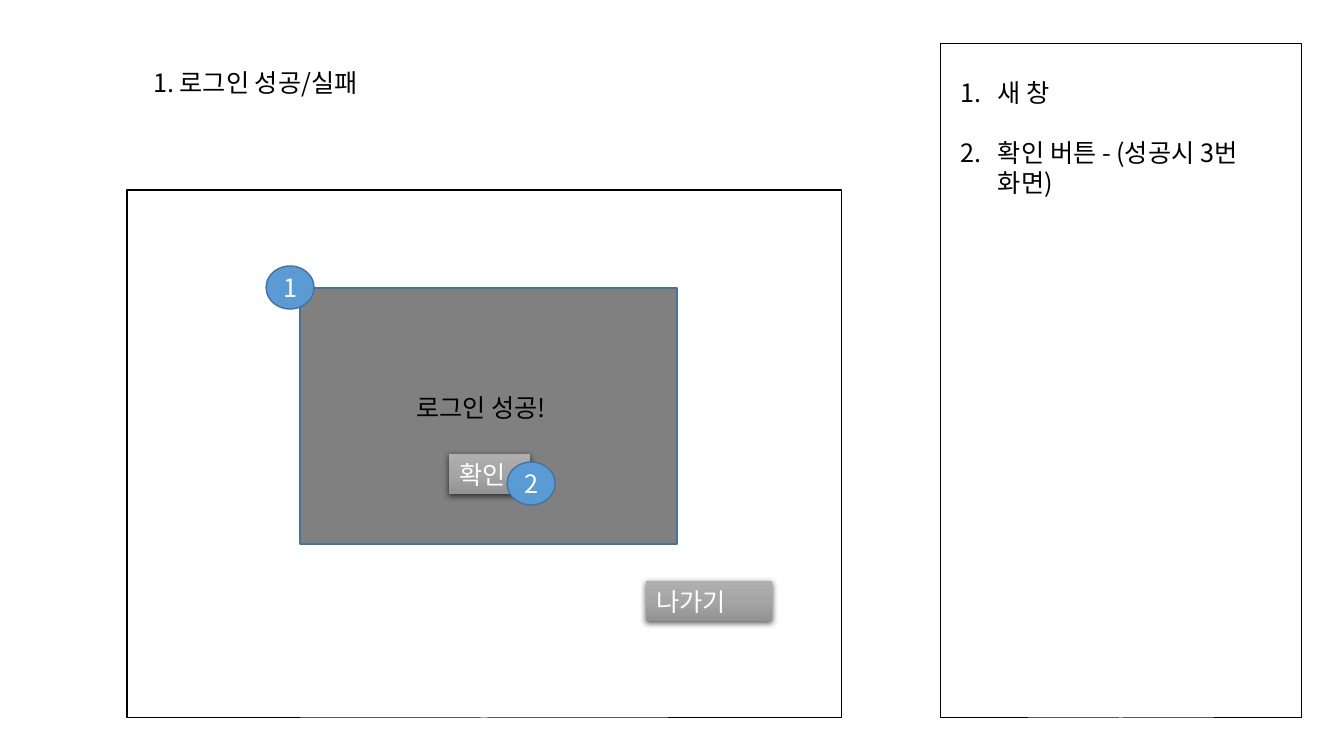
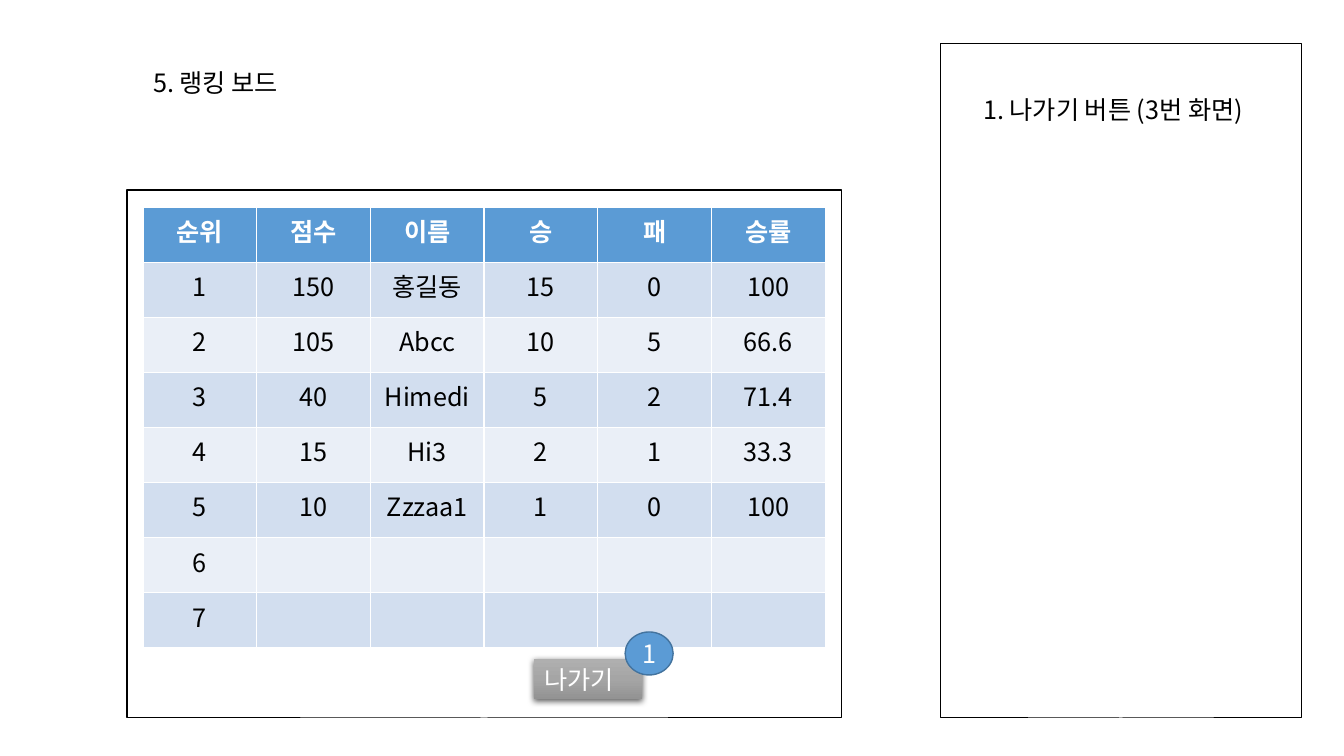
from lxml.etree import SubElement
from pptx import Presentation
from pptx.dml.color import RGBColor
from pptx.enum.shapes import MSO_SHAPE
from pptx.enum.text import MSO_ANCHOR, MSO_AUTO_SIZE, PP_ALIGN
from pptx.oxml import parse_xml
from pptx.oxml.ns import nsdecls, qn
from pptx.util import Inches, Pt

PX = 914400 / 100.8
FONT = "Noto Sans CJK KR"
LINE_HEIGHT = Pt(21.6)
BLACK = RGBColor(0x00, 0x00, 0x00)
WHITE = RGBColor(0xFF, 0xFF, 0xFF)
GRAY = RGBColor(0x80, 0x80, 0x80)
BLUE = RGBColor(0x5B, 0x9B, 0xD5)
DARK_BLUE = RGBColor(0x43, 0x73, 0x9E)
BAND_DARK = RGBColor(0xD2, 0xDE, 0xEF)
BAND_LIGHT = RGBColor(0xEA, 0xEF, 0xF7)

BUTTON_FILL = f"""<a:gradFill {nsdecls('a')} rotWithShape="1"><a:gsLst>
<a:gs pos="0"><a:srgbClr val="AFAFAF"/></a:gs>
<a:gs pos="50000"><a:srgbClr val="A5A5A5"/></a:gs>
<a:gs pos="100000"><a:srgbClr val="939393"/></a:gs>
</a:gsLst><a:lin ang="5400000" scaled="0"/></a:gradFill>"""
BUTTON_SHADOW = f"""<a:outerShdw {nsdecls('a')} blurRad="57150" dist="19050"
dir="5400000" algn="ctr" rotWithShape="0">
<a:srgbClr val="000000"><a:alpha val="63000"/></a:srgbClr></a:outerShdw>"""

TITLE_TOP, TITLE_LEFT, TEXT_HEIGHT = 62, 143, 40
BADGE_WIDTH, BADGE_HEIGHT = 48, 43


def write(p, text, color, align=PP_ALIGN.LEFT, bold=False):
    p.alignment = align
    r = p.add_run()
    r.text = text
    r.font.size = Pt(18)
    r.font.bold = bold
    r.font.name = FONT
    r.font.color.rgb = color
    SubElement(r.font._element, qn("a:ea"), typeface=FONT)


def add_box(s, kind, box, fill=None, line=None, width=0.75):
    sp = s.shapes.add_shape(kind, *[round(v * PX) for v in box])
    sp.shadow.inherit = False
    if fill is None:
        sp.fill.background()
    else:
        sp.fill.solid()
        sp.fill.fore_color.rgb = fill
    if line is None:
        sp.line.fill.background()
    else:
        sp.line.color.rgb = line
        sp.line.width = Pt(width)
    sp.text_frame.vertical_anchor = MSO_ANCHOR.TOP
    sp.text_frame.paragraphs[0].line_spacing = LINE_HEIGHT
    return sp


prs = Presentation()
prs.slide_width, prs.slide_height = Inches(13.33), Inches(7.5)

slides = []
for title, title_width in [("1. 로그인 성공/실패", 246), ("5. 랭킹 보드", 160)]:
    s = prs.slides.add_slide(prs.slide_layouts[5])
    slides.append(s)
    sp = s.shapes.title
    sp.left, sp.top, sp.width, sp.height = [
        round(v * PX) for v in (TITLE_LEFT, TITLE_TOP, title_width, TEXT_HEIGHT)]
    tf = sp.text_frame
    tf.auto_size = MSO_AUTO_SIZE.NONE
    tf.word_wrap = False
    tf.vertical_anchor = MSO_ANCHOR.TOP
    p = tf.paragraphs[0]
    p.line_spacing = LINE_HEIGHT
    p.space_before = Pt(0)
    write(p, title, BLACK)
    add_box(s, MSO_SHAPE.RECTANGLE, (940, 43, 361, 675), None, BLACK)
    add_box(s, MSO_SHAPE.RECTANGLE, (127, 190, 714, 528), WHITE, BLACK)

login, ranking = slides

add_box(login, MSO_SHAPE.RECTANGLE, (300, 288, 377, 256), GRAY, DARK_BLUE, 1)
message = add_box(login, MSO_SHAPE.RECTANGLE, (406, 387, 212, TEXT_HEIGHT))
write(message.text_frame.paragraphs[0], "로그인 성공!", BLACK)

tf = add_box(login, MSO_SHAPE.RECTANGLE, (950, 72, 330, 163)).text_frame
tf.word_wrap = True
for i, note in enumerate(["새 창", "확인 버튼 - (성공시 3번 화면)"]):
    p = tf.add_paragraph() if i else tf.paragraphs[0]
    p.line_spacing = LINE_HEIGHT
    p.space_before = LINE_HEIGHT if i else Pt(0)
    write(p, note, BLACK)
    pPr = p._p.get_or_add_pPr()
    pPr.set("marL", "342900")
    pPr.set("indent", "-342900")
    SubElement(pPr, qn("a:buFont"), typeface="+mj-lt")
    SubElement(pPr, qn("a:buAutoNum"), type="arabicPeriod")

tf = add_box(ranking, MSO_SHAPE.RECTANGLE, (973, 89, 309, TEXT_HEIGHT)).text_frame
tf.word_wrap = False
write(tf.paragraphs[0], "1. 나가기 버튼 (3번 화면)", BLACK)

rows = [
    ("순위", "점수", "이름", "승", "패", "승률"),
    ("1", "150", "홍길동", "15", "0", "100"),
    ("2", "105", "Abcc", "10", "5", "66.6"),
    ("3", "40", "Himedi", "5", "2", "71.4"),
    ("4", "15", "Hi3", "2", "1", "33.3"),
    ("5", "10", "Zzzaa1", "1", "0", "100"),
    ("6", "", "", "", "", ""),
    ("7", "", "", "", "", ""),
]
table = ranking.shapes.add_table(
    len(rows), len(rows[0]), *[round(v * PX) for v in (143, 207, 682, 441)]).table
for i, row in enumerate(rows):
    for j, value in enumerate(row):
        cell = table.cell(i, j)
        cell.fill.solid()
        cell.fill.fore_color.rgb = BLUE if i == 0 else BAND_DARK if i % 2 else BAND_LIGHT
        if value:
            write(cell.text_frame.paragraphs[0], value,
                  BLACK if i else WHITE, PP_ALIGN.CENTER, i == 0)

for s, x, y, width, label in [
    (login, 646, 581, 126, "나가기"),
    (login, 449, 454, 81, "확인"),
    (ranking, 534, 659, 108, "나가기"),
]:
    button = add_box(s, MSO_SHAPE.RECTANGLE, (x, y, width, TEXT_HEIGHT))
    spPr = button._element.spPr
    spPr.replace(spPr.find(qn("a:noFill")), parse_xml(BUTTON_FILL))
    spPr.find(qn("a:effectLst")).append(parse_xml(BUTTON_SHADOW))
    write(button.text_frame.paragraphs[0], label, WHITE)

for s, x, y, number in [
    (login, 266, 266, "1"),
    (login, 507, 462, "2"),
    (ranking, 625, 632, "1"),
]:
    badge = add_box(s, MSO_SHAPE.OVAL, (x, y, BADGE_WIDTH, BADGE_HEIGHT), BLUE, DARK_BLUE, 1)
    tf = badge.text_frame
    tf.margin_left = tf.margin_right = tf.margin_top = tf.margin_bottom = 0
    tf.vertical_anchor = MSO_ANCHOR.MIDDLE
    write(tf.paragraphs[0], number, WHITE, PP_ALIGN.CENTER)

prs.save("out.pptx")
